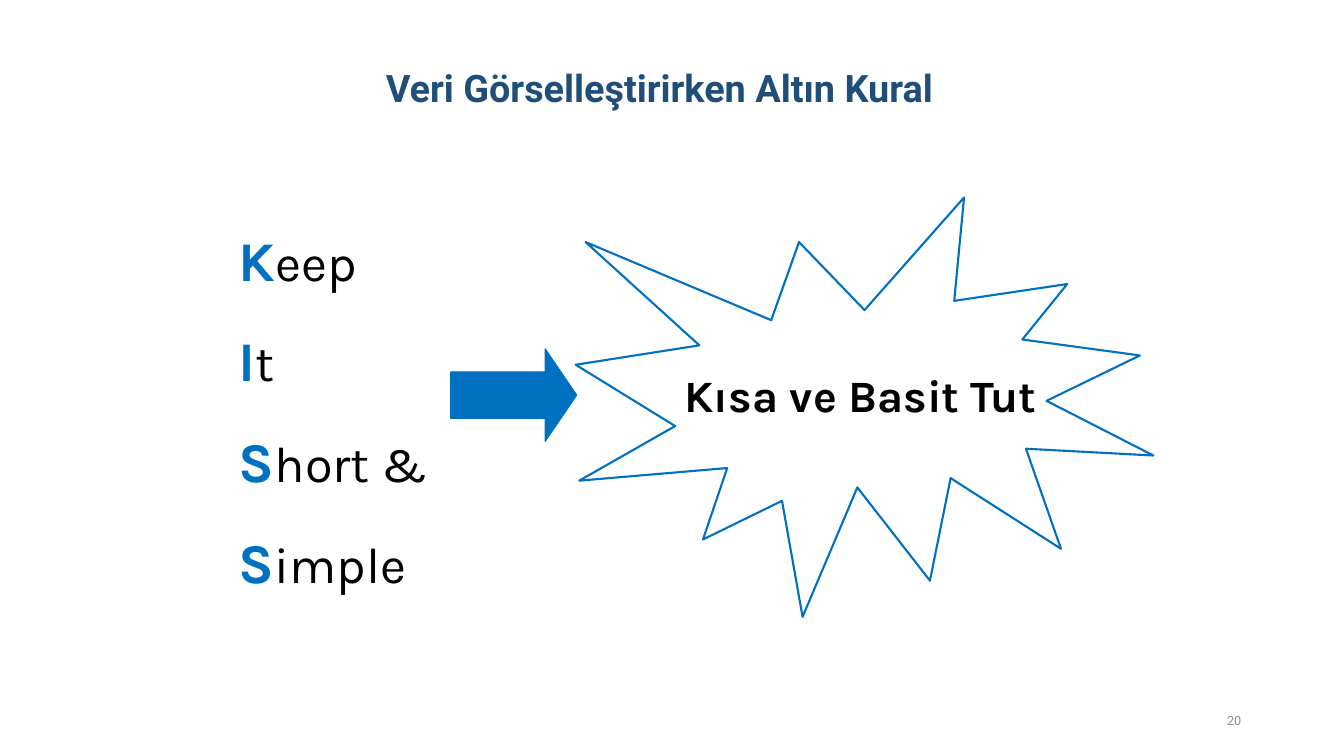
from dataclasses import dataclass

from pptx import Presentation
from pptx.dml.color import RGBColor
from pptx.enum.shapes import MSO_SHAPE
from pptx.enum.text import MSO_ANCHOR, MSO_AUTO_SIZE, PP_ALIGN
from pptx.oxml.ns import qn
from pptx.util import Inches, Pt

ARROW, BURST = MSO_SHAPE.RIGHT_ARROW, MSO_SHAPE.EXPLOSION1
MIDDLE, BOTTOM = MSO_ANCHOR.MIDDLE, MSO_ANCHOR.BOTTOM
LEFT, CENTER, RIGHT = PP_ALIGN.LEFT, PP_ALIGN.CENTER, PP_ALIGN.RIGHT
NO_AUTOFIT = MSO_AUTO_SIZE.NONE

COLORS = {"title": "1F4E79", "accent": "0070C0", "text": "000000", "number": "8C8C8C"}


@dataclass(frozen=True)
class Box:
    left: float
    top: float
    width: float
    height: float

    def lengths(self) -> list:
        return [Inches(v) for v in (self.left, self.top, self.width, self.height)]


@dataclass(frozen=True)
class Style:
    name: str
    size: float
    color: str
    bold: bool = False


TITLE = Style("Roboto", 27, "title", True)
NUMBER = Style("Roboto", 9, "number")
INITIAL = Style("Karla", 40, "accent", True)
REST = Style("Karla", 36, "text")
MESSAGE = Style("Karla", 32, "text", True)

KISS_WORDS = ["Keep", "It", "Short &", "Simple"]


def set_attributes(target, values: dict) -> None:
    for name, value in values.items():
        setattr(target, name, value)


def add_run(paragraph, text: str, style: Style) -> None:
    run = paragraph.add_run()
    run.text = text
    set_attributes(run.font, {"name": style.name, "size": Pt(style.size), "bold": style.bold})
    run.font.color.rgb = RGBColor.from_string(COLORS[style.color])


def place(shape, box: Box) -> None:
    names = ("left", "top", "width", "height")
    set_attributes(shape, dict(zip(names, box.lengths())))


def format_frame(shape, anchor, wrap: bool = True) -> None:
    values = {"auto_size": NO_AUTOFIT, "word_wrap": wrap, "vertical_anchor": anchor}
    set_attributes(shape.text_frame, values)


def write_line(shape, text: str, style: Style, alignment) -> None:
    paragraph = shape.text_frame.paragraphs[0]
    paragraph.alignment = alignment
    add_run(paragraph, text, style)


def write_kiss_list(body) -> None:
    frame = body.text_frame
    for index, word in enumerate(KISS_WORDS):
        paragraph = frame.add_paragraph() if index else frame.paragraphs[0]
        values = {"alignment": LEFT, "line_spacing": 1.5, "space_before": Pt(0)}
        set_attributes(paragraph, values)
        properties = paragraph._p.get_or_add_pPr()
        properties.set("marL", "0")
        properties.set("indent", "0")
        properties.append(properties.makeelement(qn("a:buNone"), {}))
        add_run(paragraph, word[0], INITIAL)
        add_run(paragraph, word[1:], REST)


def add_outlined_shape(slide, kind, box: Box, line_width: float):
    shape = slide.shapes.add_shape(kind, *box.lengths())
    shape.shadow.inherit = False
    shape.line.color.rgb = RGBColor.from_string(COLORS["accent"])
    shape.line.width = Pt(line_width)
    return shape


def main() -> None:
    presentation = Presentation()
    set_attributes(presentation, {"slide_width": Inches(13.33), "slide_height": Inches(7.5)})
    slide = presentation.slides.add_slide(presentation.slide_layouts[1])

    title = slide.shapes.title
    place(title, Box(0.66, 0, 11.76, 1.14))
    format_frame(title, BOTTOM)
    write_line(title, "Veri Görselleştirirken Altın Kural", TITLE, CENTER)

    number = slide.shapes.add_textbox(*Box(8.83, 6.95, 3.58, 0.4).lengths())
    format_frame(number, MIDDLE)
    write_line(number, "20", NUMBER, RIGHT)

    body = slide.placeholders[1]
    place(body, Box(2.27, 1.4, 5, 5))
    format_frame(body, MIDDLE)
    write_kiss_list(body)

    arrow = add_outlined_shape(slide, ARROW, Box(4.47, 3.46, 1.25, 0.92), 0.75)
    arrow.adjustments[1] = 0.34
    arrow.fill.solid()
    arrow.fill.fore_color.rgb = RGBColor.from_string(COLORS["accent"])

    burst = add_outlined_shape(slide, BURST, Box(5.71, 1.96, 5.73, 4.16), 1.5)
    burst.fill.background()
    format_frame(burst, MIDDLE, wrap=False)
    write_line(burst, "Kısa ve Basit Tut", MESSAGE, CENTER)

    presentation.save("out.pptx")


if __name__ == "__main__":
    main()
